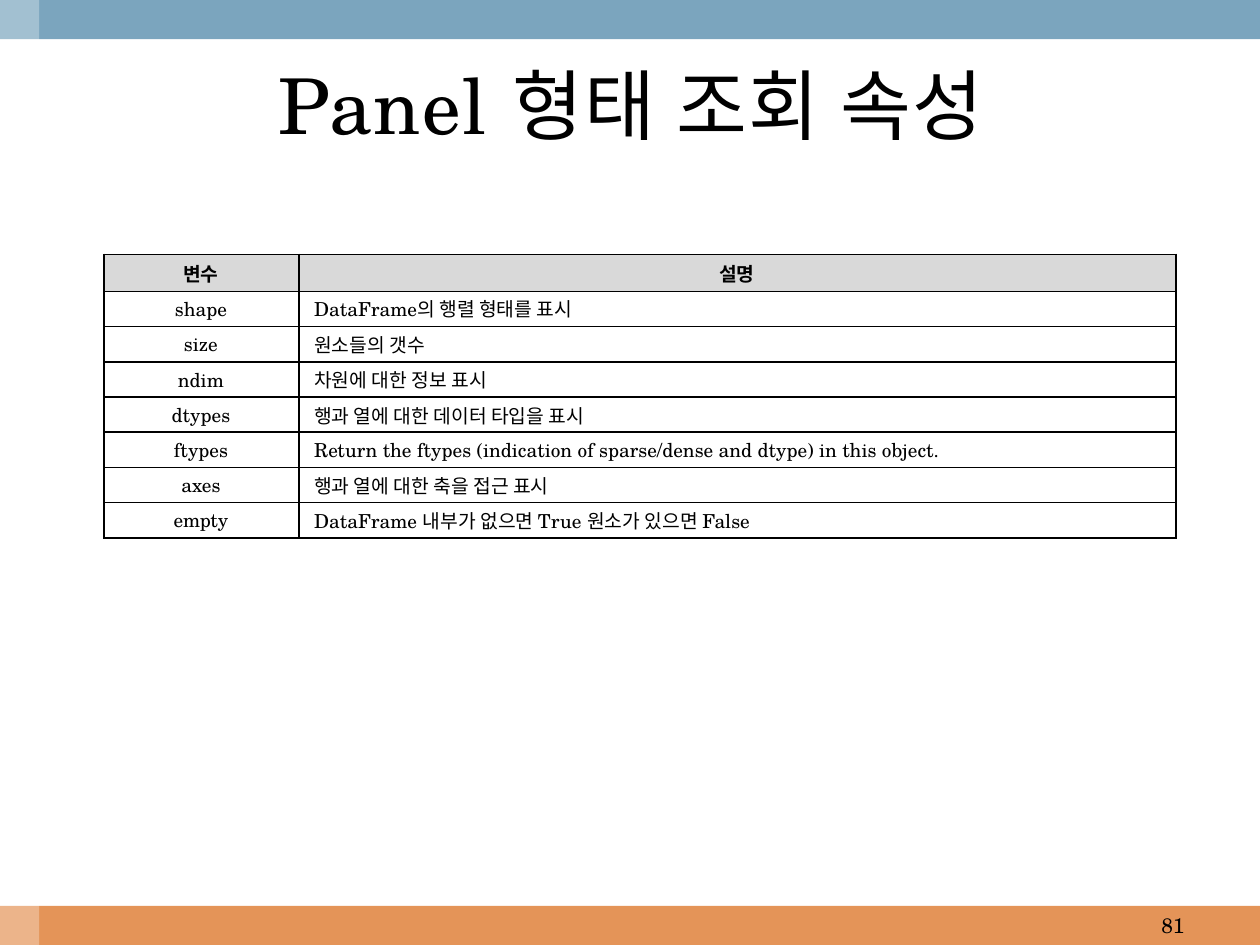
import dataclasses

import lxml.etree
import pptx
import pptx.dml.color
import pptx.enum.shapes
import pptx.enum.text
import pptx.oxml.ns
import pptx.util

Pt = pptx.util.Pt
qn = pptx.oxml.ns.qn
Align = pptx.enum.text.PP_ALIGN
Anchor = pptx.enum.text.MSO_ANCHOR
FACE = "TeX Gyre Schola"
WIDE, HIGH, BAND = 720, 540, 22.4


@dataclasses.dataclass
class Bar:
    left: float
    top: float
    width: float
    height: float
    color: str
    alpha: int = 100


@dataclasses.dataclass
class Row:
    name: str
    note: str


BARS = [
    Bar(0, HIGH - BAND, WIDE, BAND, "E49458"),
    Bar(0, 0, WIDE, BAND, "7BA5BE"),
    Bar(0, 0, BAND, HIGH, "FFFFFF", 30),
]
ROWS = [
    Row("변수", "설명"),
    Row("shape", "DataFrame의 행렬 형태를 표시"),
    Row("size", "원소들의 갯수"),
    Row("ndim", "차원에 대한 정보 표시"),
    Row("dtypes", "행과 열에 대한 데이터 타입을 표시"),
    Row("ftypes", "Return the ftypes (indication of sparse/dense and dtype) in this object."),
    Row("axes", "행과 열에 대한 축을 접근 표시"),
    Row("empty", "DataFrame 내부가 없으면 True 원소가 있으면 False"),
]


def rgb(code: str) -> pptx.dml.color.RGBColor:
    return pptx.dml.color.RGBColor.from_string(code)


def paint(fill, code: str) -> None:
    fill.solid()
    fill.fore_color.rgb = rgb(code)


def place(shape, left: float, top: float, width: float, height: float) -> None:
    spots = {"left": left, "top": top, "width": width, "height": height}
    for key, value in spots.items():
        setattr(shape, key, Pt(value))


def write(frame, text: str, size: float, align, bold: bool = False) -> None:
    para = frame.paragraphs[0]
    para.alignment = align
    run = para.add_run()
    run.text = text
    looks = {"name": FACE, "size": Pt(size), "bold": bold}
    for key, value in looks.items():
        setattr(run.font, key, value)
    run.font.color.rgb = rgb("000000")


def draw_bar(slide, bar: Bar) -> None:
    kind = pptx.enum.shapes.MSO_SHAPE.RECTANGLE
    box = [Pt(v) for v in (bar.left, bar.top, bar.width, bar.height)]
    shape = slide.shapes.add_shape(kind, *box)
    shape.shadow.inherit = False
    shape.line.fill.background()
    paint(shape.fill, bar.color)
    if bar.alpha < 100:
        tint = shape.fill._xPr.find(".//" + qn("a:srgbClr"))
        lxml.etree.SubElement(tint, qn("a:alpha"), val=str(bar.alpha * 1000))


def frame_cell(cell) -> None:
    """Give all four sides a thin black border, ahead of the fill."""
    props = cell._tc.get_or_add_tcPr()
    for spot, side in enumerate(("lnL", "lnR", "lnT", "lnB")):
        line = lxml.etree.Element(qn("a:" + side), w=str(Pt(1)))
        fill = lxml.etree.SubElement(line, qn("a:solidFill"))
        lxml.etree.SubElement(fill, qn("a:srgbClr"), val="000000")
        props.insert(spot, line)


def draw_cell(cell, text: str, head: bool, first: bool) -> None:
    mid = head or first
    looks = {
        "margin_left": Pt(2.2 if mid else 8.6),
        "margin_right": Pt(2.9),
        "margin_top": Pt(0.7),
        "margin_bottom": Pt(0.7),
        "vertical_anchor": Anchor.MIDDLE,
    }
    for key, value in looks.items():
        setattr(cell, key, value)
    write(cell.text_frame, text, 11, Align.CENTER if mid else Align.LEFT, head)
    paint(cell.fill, "D9D9D9" if head else "FFFFFF")
    frame_cell(cell)


def draw_table(slide, rows: list[Row]) -> None:
    box = [Pt(v) for v in (59.5, 145.4, 612.5, 162)]
    table = slide.shapes.add_table(len(rows), 2, *box).table
    table.horz_banding = False
    for col, width in zip(table.columns, (111.4, 501.1)):
        col.width = Pt(width)
    for i, row in enumerate(rows):
        table.rows[i].height = Pt(20.13 if i else 21.1)
        for j, text in enumerate((row.name, row.note)):
            draw_cell(table.cell(i, j), text, i == 0, j == 0)


def main() -> None:
    deck = pptx.Presentation()
    deck.slide_width, deck.slide_height = Pt(WIDE), Pt(HIGH)
    slide = deck.slides.add_slide(deck.slide_layouts[5])

    # Colour bands
    for bar in BARS:
        draw_bar(slide, bar)

    # Page number
    page = slide.shapes.add_textbox(Pt(516), Pt(HIGH - BAND), Pt(168), Pt(BAND))
    page.text_frame.word_wrap = True
    page.text_frame.vertical_anchor = Anchor.MIDDLE
    write(page.text_frame, "81", 12, Align.RIGHT)

    # Title
    title = slide.shapes.title
    place(title, 23.8, 22.4, 674, 74)
    title.text_frame.auto_size = pptx.enum.text.MSO_AUTO_SIZE.NONE
    title.text_frame.vertical_anchor = Anchor.MIDDLE
    write(title.text_frame, "Panel 형태 조회 속성", 44, Align.CENTER)
    title.text_frame.paragraphs[0].runs[0].font._element.set("spc", "100")

    # Attribute table
    draw_table(slide, ROWS)
    deck.save("out.pptx")


if __name__ == "__main__":
    main()
